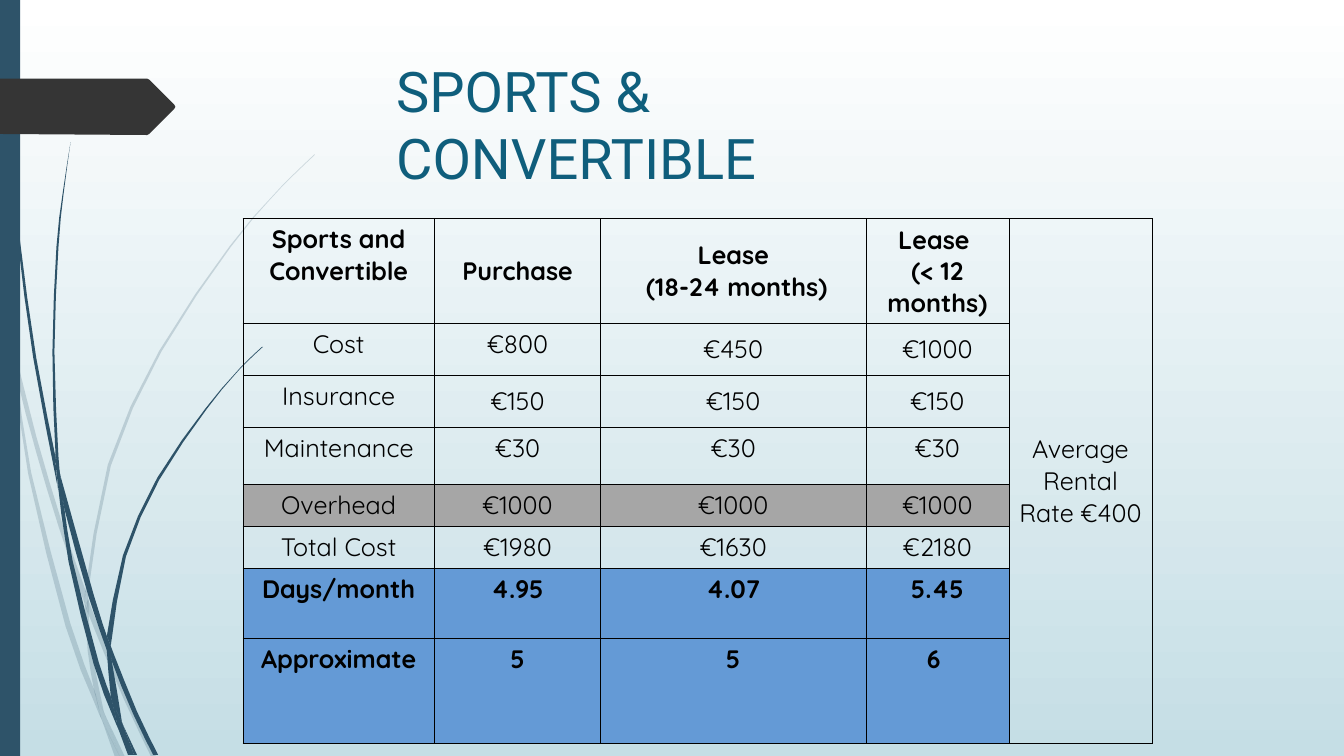
from dataclasses import dataclass

from lxml.etree import SubElement as Sub
from pptx import Presentation
from pptx.dml.color import RGBColor as Rgb
from pptx.enum.shapes import MSO_SHAPE as Shape
from pptx.enum.text import MSO_ANCHOR as Anchor, MSO_AUTO_SIZE as Fit, PP_ALIGN as Align
from pptx.oxml.ns import qn
from pptx.util import Pt

PX = 9144  # one hundredth of an inch


@dataclass(frozen=True)
class Theme:
    top: str = "FFFFFF"
    base: str = "C5DEE5"
    stem: str = "2E5369"
    tag: str = "353535"
    head: str = "0F5E7C"
    ink: str = "000000"
    gray: str = "A6A6A6"
    blue: str = "649AD6"
    big: int = 40
    body: int = 18
    title: str = "Roboto"
    text: str = "Quicksand"


T = Theme()

# Each blade has two edges that run from tip to tip and back
PALE = [
    ([(11, 350), (9, 322), (0, 282)], [(0, 299), (10, 344)]),
    ([(14, 345), (17, 376), (36, 449), (58, 522), (84, 599)],
     [(85, 586), (62, 520), (36, 433), (14, 345)]),
    ([(88, 596), (88, 610), (123, 694), (150, 751)], [(155, 751), (127, 692), (92, 607)]),
    ([(105, 711), (119, 751)], [(124, 751), (105, 711)]),
    ([(11, 350), (28, 470), (65, 621), (92, 693), (101, 714)],
     [(99, 707), (93, 683), (70, 619), (31, 469), (17, 376), (11, 350)]),
    ([(84, 599), (87, 646), (93, 683), (96, 692), (105, 711)],
     [(103, 706), (91, 646), (88, 610), (84, 599)]),
    ([(312, 153), (289, 175), (268, 197), (228, 244), (158, 348), (107, 461),
      (85, 584), (85, 586)],
     [(88, 596), (88, 584), (110, 462), (160, 349), (229, 245), (268, 198),
      (290, 175), (312, 154)]),
    ([(101, 714), (114, 751)], [(119, 751), (101, 714)]),
    ([(85, 586), (84, 599), (88, 610)], [(88, 596), (85, 586)]),
    ([(93, 683), (99, 707), (101, 714), (119, 751)], [(105, 711), (96, 692)]),
]
DARK = [
    ([(3, 0), (4, 48), (7, 110), (17, 233), (33, 355), (56, 477), (57, 481)],
     [(55, 457), (55, 453), (36, 355), (19, 232), (8, 109), (5, 48), (4, 0)]),
    ([(60, 472), (64, 505), (88, 592), (106, 645)], [(106, 631), (93, 590), (60, 472)]),
    ([(110, 641), (111, 656), (132, 708), (152, 749)], [(157, 749), (136, 706), (113, 649)]),
    ([(57, 477), (68, 557), (93, 659), (111, 708), (117, 722)],
     [(116, 717), (110, 691), (98, 657), (72, 556), (64, 505), (57, 477)]),
    ([(70, 141), (62, 193), (56, 245), (52, 349), (55, 449), (60, 472)],
     [(60, 472), (58, 453), (54, 349), (58, 245), (63, 193), (70, 141)]),
    ([(122, 719), (133, 749)], [(136, 749), (122, 719)]),
    ([(55, 449), (55, 453), (57, 477), (64, 505)], [(60, 472), (55, 449)]),
    ([(260, 344), (245, 358), (231, 373), (204, 405), (156, 474), (122, 551), (106, 631)],
     [(110, 641), (111, 633), (125, 552), (158, 476), (205, 406), (231, 374),
      (245, 359), (261, 344)]),
    ([(117, 722), (127, 749)], [(131, 749), (117, 722)]),
    ([(106, 645), (110, 691), (116, 706), (122, 719)], [(121, 716), (111, 656), (106, 645)]),
    ([(106, 631), (106, 645), (111, 656)], [(110, 641), (106, 631)]),
    ([(110, 691), (116, 717), (117, 722), (130, 749)], [(133, 749), (122, 719), (116, 706)]),
]
TAG = [(0, 0), (146, 0), (148, 1), (173, 26), (174, 28), (173, 30), (148, 55),
       (146, 56), (0, 55)]

COLS = [190, 165, 263, 142, 142]
ROWS = [101, 51, 51, 57, 41, 41, 70, 71]
CELLS = [
    ["Sports and Convertible", "Purchase", "Lease\n (18-24 months)",
     "Lease \n(< 12 months)"],
    ["Cost", "€800", "€450", "€1000"],
    ["Insurance", "€150", "€150", "€150"],
    ["Maintenance", "€30", "€30", "€30"],
    ["Overhead", "€1000", "€1000", "€1000"],
    ["Total Cost", "€1980", "€1630", "€2180"],
    ["Days/month", "4.95", "4.07", "5.45"],
    ["Approximate", "5", "5", "6 "],
]
FILLS = {4: T.gray, 6: T.blue, 7: T.blue}
BOLD = {0, 6, 7}
DEEP = {(1, 2), (1, 3), (2, 1), (2, 2), (2, 3)}  # cells with taller margins


def px(n):
    return round(n * PX)


def paint(shape, color):
    shape.shadow.inherit = False
    shape.fill.solid()
    shape.fill.fore_color.rgb = Rgb.from_string(color)
    shape.line.fill.background()


def write(par, text, font, size, color, bold=False):
    run = par.add_run()
    run.text = text
    run.font.name, run.font.size, run.font.bold = font, Pt(size), bold
    run.font.color.rgb = Rgb.from_string(color)


def draw(slide, pts, box, color):
    spots = [(px(box[0] + x), px(box[1] + y)) for x, y in pts]
    form = slide.shapes.build_freeform(*spots[0])
    form.add_line_segments(spots[1:], close=True)
    shape = form.convert_to_shape()
    paint(shape, color)
    return shape


def smooth(knots):
    """Add the Catmull-Rom midpoint between each two knots."""
    ends = [knots[0], *knots, knots[-1]]
    for a, b, c, d in zip(ends, ends[1:], ends[2:], ends[3:]):
        yield b
        if len(knots) > 2:
            yield [(9 * (q + r) - p - s) / 16 for p, q, r, s in zip(a, b, c, d)]
    yield knots[-1]


def add_stems(slide, box, stems, alpha=None):
    for down, up in stems:
        shape = draw(slide, [*smooth(down), *smooth(up)], box, T.stem)
        if alpha:
            for tint in shape._element.spPr.iter(qn("a:srgbClr")):
                Sub(tint, qn("a:alpha"), val=str(alpha * 1000))


def add_side(slide, box):
    add_stems(slide, box, PALE, 20)
    add_stems(slide, box, DARK)
    x, y, _, h = box
    bar = slide.shapes.add_shape(Shape.RECTANGLE, px(x), px(y), px(20), px(h))
    paint(bar, T.stem)
    draw(slide, TAG, (x, y + 78), T.tag)


def add_title(slide, box):
    title = slide.shapes.title
    title.left, title.top, title.width, title.height = map(px, box)
    frame = title.text_frame
    frame.auto_size, frame.word_wrap = Fit.NONE, True
    frame.vertical_anchor = Anchor.TOP
    par = frame.paragraphs[0]
    par.alignment = Align.LEFT
    write(par, "SPORTS & CONVERTIBLE", T.title, T.big, T.head)


def add_edges(cell):
    props = cell._tc.get_or_add_tcPr()
    for side in ("lnL", "lnR", "lnT", "lnB"):
        line = Sub(props, qn("a:" + side), w=str(Pt(0.5)))
        Sub(Sub(line, qn("a:solidFill")), qn("a:srgbClr"), val=T.ink)


def fill_cell(cell, text, bold, middle=False, deep=False):
    cell.vertical_anchor = Anchor.MIDDLE if middle else Anchor.TOP
    cell.margin_left = cell.margin_right = px(10)
    cell.margin_top = cell.margin_bottom = px(10 if deep else 5)
    frame = cell.text_frame
    for i, part in enumerate(text.split("\n")):
        par = frame.add_paragraph() if i else frame.paragraphs[0]
        par.alignment = Align.CENTER
        write(par, part, T.text, T.body, T.ink, bold)


def add_costs(slide, box):
    table = slide.shapes.add_table(len(ROWS), len(COLS), *map(px, box)).table
    table.first_row = table.horz_banding = False
    for col, wide in zip(table.columns, COLS):
        col.width = px(wide)
    for row, high in zip(table.rows, ROWS):
        row.height = px(high)
    last = len(COLS) - 1
    for r in range(len(ROWS)):
        for c in range(len(COLS)):
            cell = table.cell(r, c)
            add_edges(cell)
            if r in FILLS and c < last:
                cell.fill.solid()
                cell.fill.fore_color.rgb = Rgb.from_string(FILLS[r])
            else:
                cell.fill.background()
    for r, row in enumerate(CELLS):
        for c, text in enumerate(row):
            fill_cell(table.cell(r, c), text, r in BOLD, r == 0 and c > 0, (r, c) in DEEP)
    rate = table.cell(0, last)
    rate.merge(table.cell(len(ROWS) - 1, last))
    fill_cell(rate, "Average Rental Rate €400", False, middle=True)


def add_back(slide):
    fill = slide.background.fill
    fill.gradient()
    fill.gradient_angle = 270
    for stop, spot, color in zip(fill.gradient_stops, (0, 1), (T.top, T.base)):
        stop.position = spot
        stop.color.rgb = Rgb.from_string(color)


def main():
    deck = Presentation()
    deck.slide_width, deck.slide_height = px(1333.33), px(750)
    slide = deck.slides.add_slide(deck.slide_layouts[5])
    add_back(slide)
    add_side(slide, (0, 0, 312, 750))
    add_title(slide, (383, 51, 619, 77))
    add_costs(slide, (241, 217, sum(COLS), sum(ROWS)))
    deck.save("out.pptx")


if __name__ == "__main__":
    main()
